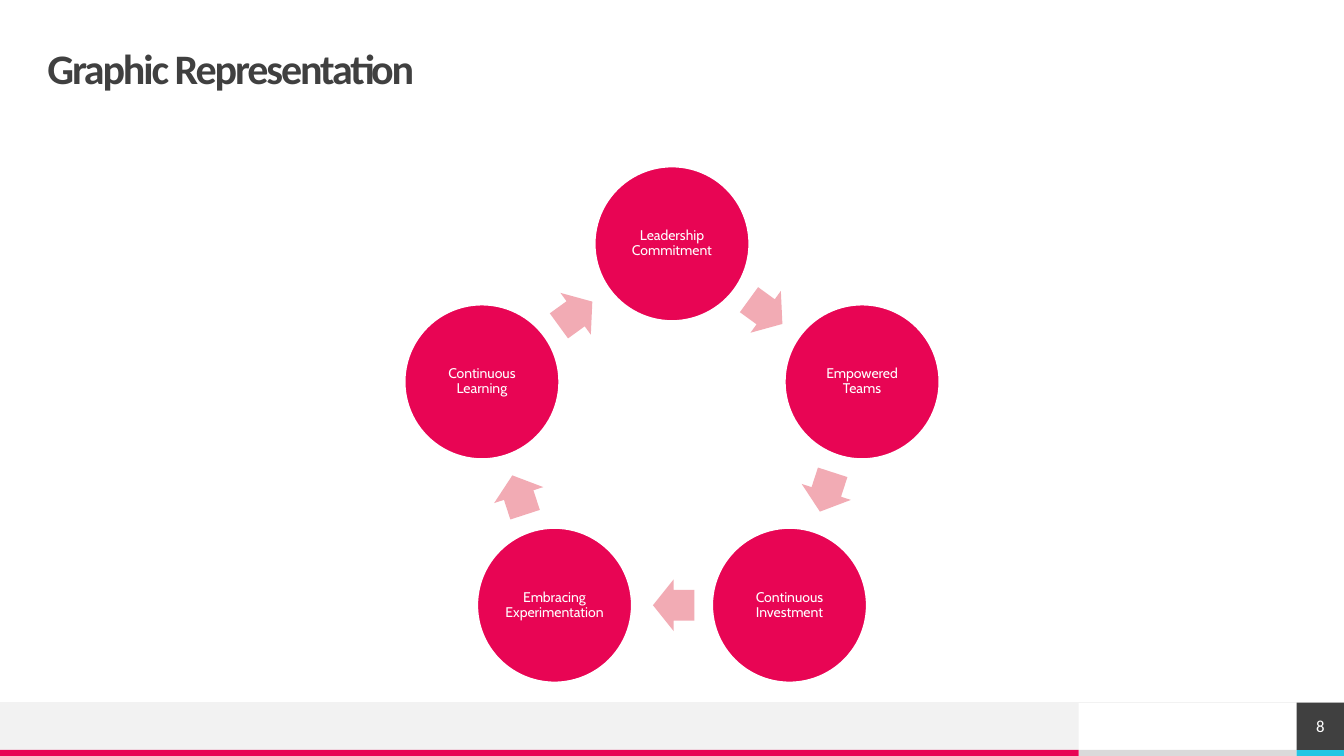
from dataclasses import dataclass
from math import cos, pi, sin

from lxml import etree
from pptx import Presentation
from pptx import util as u
from pptx.dml.color import RGBColor
from pptx.enum import shapes, text
from pptx.oxml.ns import qn

WIDTH, HEIGHT = 13.33, 7.5
MARGIN = 0.47   # side margin, also the height of the footer band
STRIP = 0.06    # coloured strip along the bottom edge


@dataclass(frozen=True)
class Theme:
    accent: str = "E80554"
    arrow: str = "F2ABB4"
    highlight: str = "25C6E3"
    dark: str = "404040"
    band: str = "F2F2F2"
    strip: str = "DADADA"
    white: str = "FFFFFF"
    body_font: str = "Calibri"
    node_font: str = "Cabin"
    title_size: float = 30
    number_size: float = 12
    node_size: float = 10


THEME = Theme()
STEPS = ["Leadership Commitment", "Empowered Teams", "Continuous Investment",
         "Embracing Experimentation", "Continuous Learning"]


def add_filled(slide, kind, box, fill, outline=None):
    shape = slide.shapes.add_shape(kind, *map(u.Inches, box))
    shape.shadow.inherit = False
    shape.fill.solid()
    shape.fill.fore_color.rgb = RGBColor.from_string(fill)
    if outline:
        shape.line.color.rgb = RGBColor.from_string(outline)
        shape.line.width = u.Pt(1.5)
    else:
        shape.line.fill.background()
    return shape


def write(shape, words, color, font, align=text.PP_ALIGN.CENTER, inset=0, spacing=1.0):
    """Put one vertically centred paragraph in the shape and return its run."""
    frame = shape.text_frame
    frame.word_wrap = True
    frame.vertical_anchor = text.MSO_ANCHOR.MIDDLE
    for side in ("left", "top", "right", "bottom"):
        setattr(frame, f"margin_{side}", u.Inches(inset))
    paragraph = frame.paragraphs[0]
    paragraph.alignment = align
    paragraph.line_spacing = spacing
    run = paragraph.add_run()
    run.text = words
    run.font.color.rgb = RGBColor.from_string(color)
    for name, value in font.items():
        setattr(run.font, name, value)
    return run


def add_footer(slide, box, number):
    left, top, width, height = box
    band_height = height - STRIP
    strip_top = top + band_height
    band_width = 0.8025 * width
    number_left = left + width - MARGIN
    rectangle = shapes.MSO_SHAPE.RECTANGLE
    for part, fill in [
        ((left + band_width, strip_top, number_left - left - band_width, STRIP), THEME.strip),
        ((left, top, band_width, band_height), THEME.band),
        ((left, strip_top, band_width, STRIP), THEME.accent),
        ((number_left, strip_top, MARGIN, STRIP), THEME.highlight),
    ]:
        add_filled(slide, rectangle, part, fill)

    rule = slide.shapes.add_connector(
        shapes.MSO_CONNECTOR.STRAIGHT, *map(u.Inches, (left + width, top, left, top)))
    rule.line.color.rgb = RGBColor.from_string(THEME.band)
    rule.line.width = u.Pt(0.5)
    etree.SubElement(rule._element.spPr, qn("a:effectLst"))

    number_box = add_filled(slide, rectangle, (number_left, top, MARGIN, band_height), THEME.dark)
    write(number_box, number, THEME.white,
          {"name": THEME.body_font, "size": u.Pt(THEME.number_size)})


def add_title(slide, box, words):
    title = slide.shapes.add_textbox(*map(u.Inches, box))
    run = write(title, words, THEME.dark,
                {"name": THEME.body_font, "size": u.Pt(THEME.title_size), "bold": True},
                align=text.PP_ALIGN.LEFT, spacing=0.9)
    run.font._element.set("spc", "-150")


def add_cycle(slide, box, steps):
    """Place the steps clockwise from the top, with an arrow from each to the next."""
    left, top, width, height = box
    node = 0.3 * height
    arrow_width, arrow_height = 0.08 * height, 0.1 * height
    turn = 2 * pi / len(steps)
    radius = (height - node) / (1 + cos(turn / 2))
    center_x, center_y = left + width / 2, top + node / 2 + radius
    arrow_radius = radius * cos(turn / 2)

    def centered(angle, distance, part_width, part_height):
        return (center_x + distance * sin(angle) - part_width / 2,
                center_y - distance * cos(angle) - part_height / 2,
                part_width, part_height)

    for index, step in enumerate(steps):
        circle = add_filled(slide, shapes.MSO_SHAPE.OVAL,
                            centered(index * turn, radius, node, node),
                            THEME.accent, THEME.white)
        write(circle, step, THEME.white,
              {"name": THEME.node_font, "size": u.Pt(THEME.node_size)},
              inset=0.01, spacing=0.9)

        halfway = (index + 0.5) * turn
        arrow = add_filled(slide, shapes.MSO_SHAPE.RIGHT_ARROW,
                           centered(halfway - 0.01, arrow_radius, arrow_width, arrow_height),
                           THEME.arrow)
        arrow.adjustments[0], arrow.adjustments[1] = 0.6, 0.5
        arrow.rotation = round(halfway * 180 / pi)


def main():
    deck = Presentation()
    deck.slide_width, deck.slide_height = u.Inches(WIDTH), u.Inches(HEIGHT)
    slide = deck.slides.add_slide(deck.slide_layouts[6])
    content_width = WIDTH - 2 * MARGIN
    footer_height = MARGIN + STRIP
    add_footer(slide, (0, HEIGHT - footer_height, WIDTH, footer_height), "8")
    add_title(slide, (MARGIN, MARGIN, content_width, MARGIN), "Graphic Representation")
    add_cycle(slide, (MARGIN, 0.22 * HEIGHT, content_width, 0.683 * HEIGHT), STEPS)
    deck.save("out.pptx")


if __name__ == "__main__":
    main()
